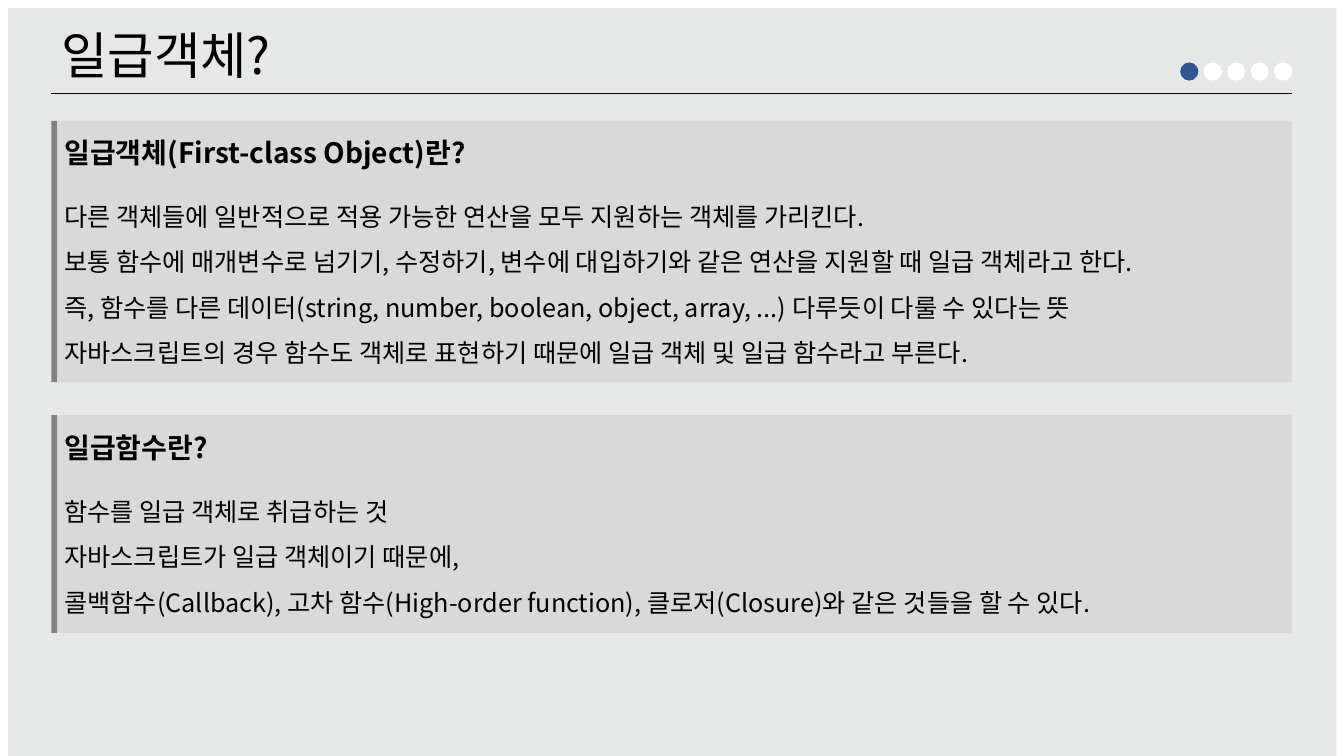
from lxml import etree
from pptx import Presentation
from pptx.dml.color import RGBColor
from pptx.enum.shapes import MSO_CONNECTOR as Link, MSO_SHAPE as Kind
from pptx.enum.text import MSO_ANCHOR as Anchor, PP_ALIGN as Align
from pptx.oxml.ns import qn
from pptx.util import Pt

FONT = "Noto Sans CJK KR"
BLACK = RGBColor(0, 0, 0)
WHITE = RGBColor(255, 255, 255)
PAPER = RGBColor(0xE6, 0xE8, 0xE7)
PANEL = RGBColor(0xD9, 0xD9, 0xD9)
BAR = RGBColor(0x80, 0x80, 0x80)
BLUE = RGBColor(0x2F, 0x55, 0x97)
LEFT, RIGHT = 36.7, 923

OBJECT = [
    "일급객체(First-class Object)란?",
    "다른 객체들에 일반적으로 적용 가능한 연산을 모두 지원하는 객체를 가리킨다.",
    "보통 함수에 매개변수로 넘기기, 수정하기, 변수에 대입하기와 같은 연산을 지원할 때 일급 객체라고 한다.",
    "즉, 함수를 다른 데이터(string, number, boolean, object, array, ...) 다루듯이 다룰 수 있다는 뜻",
    "자바스크립트의 경우 함수도 객체로 표현하기 때문에 일급 객체 및 일급 함수라고 부른다.",
]
FUNCTION = [
    "일급함수란?",
    "함수를 일급 객체로 취급하는 것",
    "자바스크립트가 일급 객체이기 때문에,",
    "콜백함수(Callback), 고차 함수(High-order function), 클로저(Closure)와 같은 것들을 할 수 있다.",
]


def write(para, text, size, bold=False, space=1.0, after=0):
    para.alignment = Align.LEFT
    para.line_spacing = space
    para.space_before, para.space_after = Pt(0), Pt(after)
    run = para.add_run()
    run.text = text
    font = run.font
    font.size, font.bold, font.name = Pt(size), bold, FONT
    font.color.rgb = BLACK
    # East Asian glyphs take their typeface from a:ea
    etree.SubElement(run._r.get_or_add_rPr(), qn("a:ea"), typeface=FONT)


def place(shape, x, y, w, h):
    shape.left, shape.top, shape.width, shape.height = map(Pt, (x, y, w, h))


def draw(slide, kind, x, y, w, h, color):
    shape = slide.shapes.add_shape(kind, *map(Pt, (x, y, w, h)))
    shape.shadow.inherit = False
    shape.fill.solid()
    shape.fill.fore_color.rgb = color
    shape.line.fill.background()
    return shape


def add_title(slide, text, x, y, w, h):
    title = slide.shapes.title
    place(title, x, y, w, h)
    frame = title.text_frame
    frame.word_wrap = False
    frame.vertical_anchor = Anchor.TOP
    write(frame.paragraphs[0], text, 36)
    return title


def add_rule(slide, x, y, end):
    rule = slide.shapes.add_connector(Link.STRAIGHT, Pt(x), Pt(y), Pt(end), Pt(y))
    rule.line.color.rgb = BLACK
    rule.line.width = Pt(0.5)
    etree.SubElement(rule._element.spPr, qn("a:effectLst"))


def add_dots(slide, right, y, size=13, step=16.75, count=5, active=0):
    """Draw the page dots, ending at the right edge."""
    start = right - size - step * (count - 1)
    for i in range(count):
        color = BLUE if i == active else WHITE
        draw(slide, Kind.OVAL, start + i * step, y, size, size, color)


def add_panel(slide, lines, x, y, w, h):
    inset = 2.2
    panel = draw(slide, Kind.RECTANGLE, x + inset, y, w - inset, h, PANEL)
    draw(slide, Kind.RECTANGLE, x, y, 4, h, BAR)
    frame = panel.text_frame
    frame.word_wrap = True
    frame.vertical_anchor = Anchor.MIDDLE
    head, *body = lines
    write(frame.paragraphs[0], head, 20, bold=True, after=12)
    for line in body:
        write(frame.add_paragraph(), line, 18, space=1.5)


def main():
    deck = Presentation()
    deck.slide_width, deck.slide_height = Pt(960), Pt(540)
    slide = deck.slides.add_slide(deck.slide_layouts[5])
    paper = draw(slide, Kind.RECTANGLE, 5.8, 5.8, 949, 535.7, PAPER)
    title = add_title(slide, "일급객체?", LEFT, 13.7, 176.4, 51)
    paper._element.addnext(title._element)
    add_rule(slide, LEFT, 67, RIGHT)
    add_dots(slide, RIGHT, 44.6)
    add_panel(slide, OBJECT, LEFT, 86.4, RIGHT - LEFT, 186.5)
    add_panel(slide, FUNCTION, LEFT, 296.6, RIGHT - LEFT, 155.5)
    deck.save("out.pptx")


if __name__ == "__main__":
    main()
